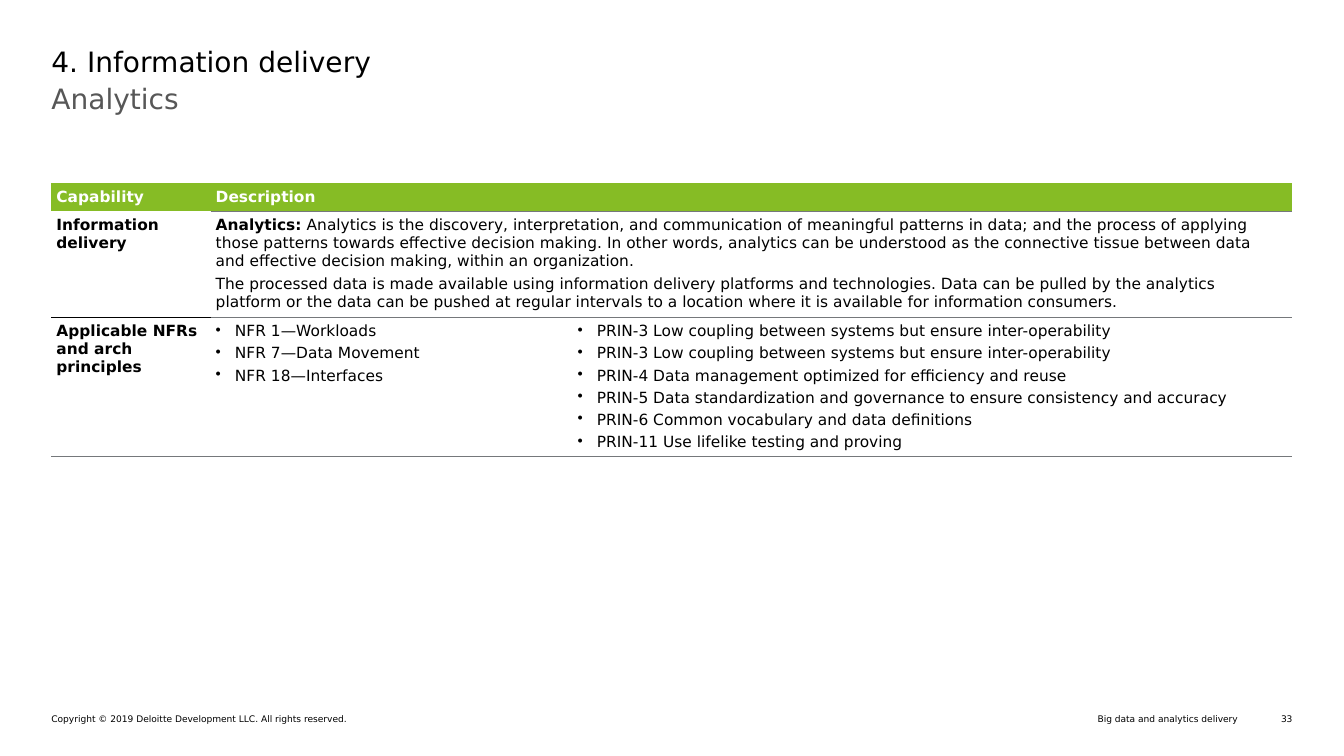
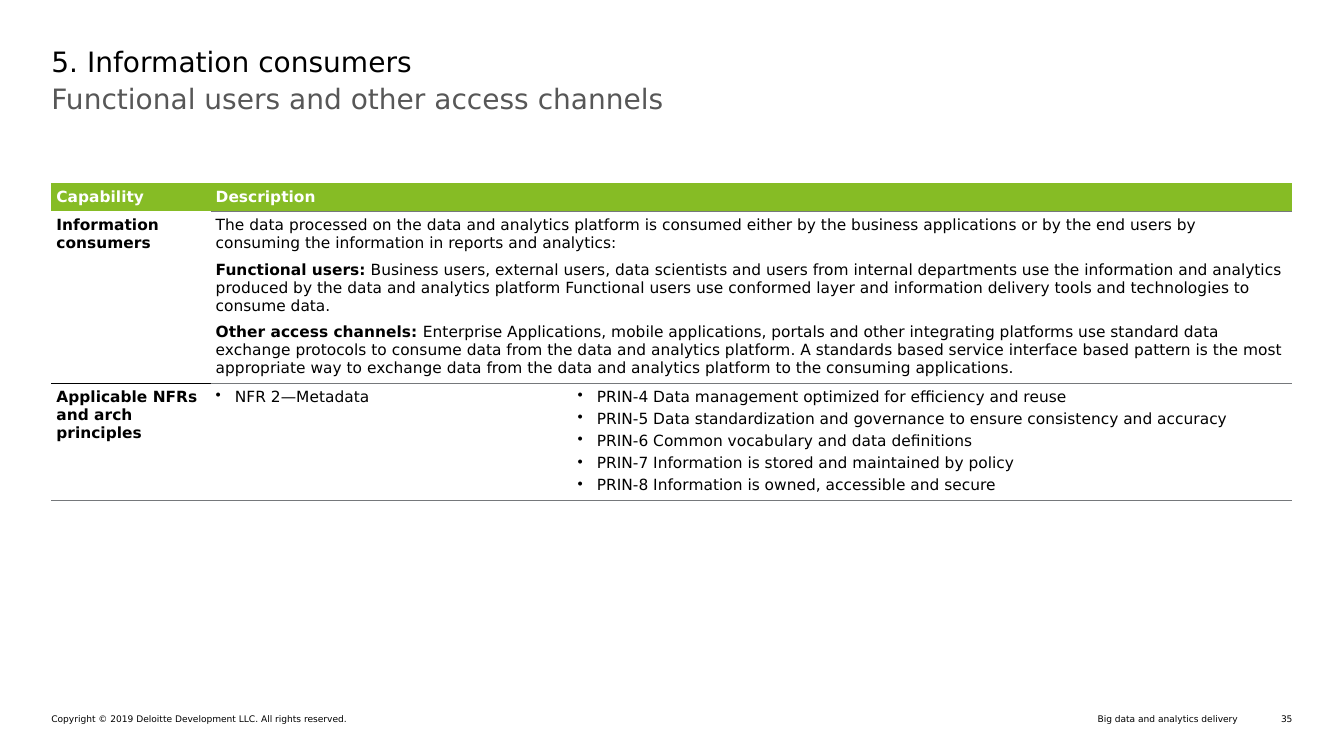
"""Builds two capability slides, each with a title, a subtitle, a table and a footer."""
from lxml import etree
from pptx import Presentation
from pptx.dml.color import RGBColor
from pptx.enum.text import MSO_ANCHOR, MSO_AUTO_SIZE, PP_ALIGN
from pptx.oxml.ns import qn
from pptx.util import Inches, Pt

LEFT, RIGHT, TOP = PP_ALIGN.LEFT, PP_ALIGN.RIGHT, MSO_ANCHOR.TOP
NO_AUTOFIT = MSO_AUTO_SIZE.NONE

BLACK = RGBColor(0x00, 0x00, 0x00)
WHITE = RGBColor(0xFF, 0xFF, 0xFF)
GREEN = RGBColor(0x86, 0xBC, 0x25)
SUBTITLE_GREY = RGBColor(0x57, 0x57, 0x57)
RULE_GREY = RGBColor(0x75, 0x78, 0x7B)

FONT = "DejaVu Sans"
PLAIN_TABLE_STYLE = "{2D5ABB26-0587-4C30-8999-92F81FD0307C}"
HEADINGS = ["Capability", "Description"]
PRINCIPLES_LABEL = "Applicable NFRs and arch principles"
COPYRIGHT = "Copyright © 2019 Deloitte Development LLC. All rights reserved."
DECK_NAME = "Big data and analytics delivery"

SLIDES = [
    {
        "title": "4. Information delivery",
        "subtitle": "Analytics",
        "page": "33",
        "capability": "Information delivery",
        "description": [
            ("Analytics:", " Analytics is the discovery, interpretation, and communication of "
             "meaningful patterns in data; and the process of applying those patterns towards "
             "effective decision making. In other words, analytics can be understood as the "
             "connective tissue between data and effective decision making, within an "
             "organization."),
            ("", "The processed data is made available using information delivery platforms and "
             "technologies. Data can be pulled by the analytics platform or the data can be pushed "
             "at regular intervals to a location where it is available for information consumers."),
        ],
        "gap": 3,
        "nfrs": ["NFR 1—Workloads", "NFR 7—Data Movement", "NFR 18—Interfaces"],
        "principles": [
            "PRIN-3 Low coupling between systems but ensure inter-operability",
            "PRIN-3 Low coupling between systems but ensure inter-operability",
            "PRIN-4 Data management optimized for efficiency and reuse",
            "PRIN-5 Data standardization and governance to ensure consistency and accuracy",
            "PRIN-6 Common vocabulary and data definitions",
            "PRIN-11 Use lifelike testing and proving",
        ],
        "row_heights": [0.27, 1.05, 1.38],
    },
    {
        "title": "5. Information consumers",
        "subtitle": "Functional users and other access channels",
        "page": "35",
        "capability": "Information consumers",
        "description": [
            ("", "The data processed on the data and analytics platform is consumed either by the "
             "business applications or by the end users by consuming the information in reports "
             "and analytics:"),
            ("Functional users:", " Business users, external users, data scientists and users from "
             "internal departments use the information and analytics produced by the data and "
             "analytics platform Functional users use conformed layer and information delivery "
             "tools and technologies to consume data."),
            ("Other access channels: ", "Enterprise Applications, mobile applications, portals and "
             "other integrating platforms use standard data exchange protocols to consume data "
             "from the data and analytics platform. A standards based service interface based "
             "pattern is the most appropriate way to exchange data from the data and analytics "
             "platform to the consuming applications."),
        ],
        "gap": 6,
        "nfrs": ["NFR 2—Metadata"],
        "principles": [
            "PRIN-4 Data management optimized for efficiency and reuse",
            "PRIN-5 Data standardization and governance to ensure consistency and accuracy",
            "PRIN-6 Common vocabulary and data definitions",
            "PRIN-7 Information is stored and maintained by policy",
            "PRIN-8 Information is owned, accessible and secure",
        ],
        "row_heights": [0.27, 1.70, 1.16],
    },
]

MARGIN = 0.51
TITLE_BOX = (MARGIN, 0.44, 12.31, 0.37)
SUBTITLE_BOX = (MARGIN, 0.81, 12.31, 0.83)
COLUMN_WIDTHS = [1.58, 3.59, 7.13]
TABLE_TOP = 1.82
CELL_MARGIN = 0.05
BULLET_INDENT = 0.19
FOOTER_TOP, FOOTER_HEIGHT = 7.08, 0.11

LABEL_RULES = [(WHITE, 0.5), (BLACK, 0.25), (RULE_GREY, 0.5)]
TEXT_RULES = [(RULE_GREY, 0.5)] * 3


def set_all(target, values):
    for name, value in values.items():
        setattr(target, name, value)


def style_font(font, size, color, bold=False):
    set_all(font, {"name": FONT, "size": Pt(size), "bold": bold})
    font.color.rgb = color


def set_margins(target, margin):
    for side in ("left", "top", "right", "bottom"):
        setattr(target, f"margin_{side}", Inches(margin))


def write_line(shape, text, size, color, align=LEFT):
    frame = shape.text_frame
    set_margins(frame, 0)
    set_all(frame, {"word_wrap": True, "auto_size": NO_AUTOFIT, "vertical_anchor": TOP})
    line = frame.paragraphs[0]
    line.text = text
    set_all(line, {"alignment": align, "space_before": Pt(0)})
    style_font(line.runs[0].font, size, color)
    return line


def place(shape, box):
    set_all(shape, dict(zip(("left", "top", "width", "height"), map(Inches, box))))


def add_headings(slide, content):
    title, subtitle = slide.shapes.title, slide.placeholders[1]
    place(title, TITLE_BOX)
    write_line(title, content["title"], 20, BLACK)
    place(subtitle, SUBTITLE_BOX)
    line = write_line(subtitle, content["subtitle"], 20, SUBTITLE_GREY)
    properties = line._p.get_or_add_pPr()
    set_all_xml(properties, {"marL": "0", "indent": "0"})
    etree.SubElement(properties, qn("a:buNone"))


def set_all_xml(element, attributes):
    for name, value in attributes.items():
        element.set(name, value)


def add_footer(slide, page):
    for left, width, text, align in [
        (MARGIN, 5.86, COPYRIGHT, LEFT),
        (6.93, 5.35, DECK_NAME, RIGHT),
        (12.48, 0.34, page, RIGHT),
    ]:
        box = slide.shapes.add_textbox(
            *map(Inches, (left, FOOTER_TOP, width, FOOTER_HEIGHT)))
        write_line(box, text, 6.5, BLACK, align)


def add_rule(cell, edge, rule):
    color, width = rule
    line = etree.SubElement(cell._tc.get_or_add_tcPr(), qn(f"a:{edge}"), w=str(Pt(width)))
    fill = etree.SubElement(line, qn("a:solidFill"))
    etree.SubElement(fill, qn("a:srgbClr"), val=str(color))


def fill_cell(cell, paragraphs, gap, color=BLACK, bullets=False):
    frame = cell.text_frame
    for number, (lead, text) in enumerate(paragraphs):
        paragraph = frame.paragraphs[0] if number == 0 else frame.add_paragraph()
        if bullets:
            properties = paragraph._p.get_or_add_pPr()
            indent = Inches(BULLET_INDENT)
            set_all_xml(properties, {"marL": str(indent), "indent": str(-indent)})
            etree.SubElement(properties, qn("a:buChar"), char="•")
        paragraph.space_after = Pt(gap)
        for part, bold in ((lead, True), (text, False)):
            if part:
                run = paragraph.add_run()
                run.text = part
                style_font(run.font, 11, color, bold)


def add_capability_table(slide, content):
    heights = content["row_heights"]
    table = slide.shapes.add_table(
        len(heights), len(COLUMN_WIDTHS), Inches(MARGIN), Inches(TABLE_TOP),
        Inches(sum(COLUMN_WIDTHS)), Inches(sum(heights))).table
    table._tbl.tblPr.find(qn("a:tableStyleId")).text = PLAIN_TABLE_STYLE
    table.horz_banding = False
    for column, width in zip(table.columns, COLUMN_WIDTHS):
        column.width = Inches(width)
    for row, height in zip(table.rows, heights):
        row.height = Inches(height)

    for r in range(len(heights)):
        for c in range(len(COLUMN_WIDTHS)):
            cell = table.cell(r, c)
            rules = LABEL_RULES if c == 0 else TEXT_RULES
            set_margins(cell, CELL_MARGIN)
            if r > 0:
                add_rule(cell, "lnT", rules[r - 1])
            add_rule(cell, "lnB", rules[r])
            cell.fill.solid()
            cell.fill.fore_color.rgb = GREEN if r == 0 else WHITE
    for r in (0, 1):
        table.cell(r, 1).merge(table.cell(r, 2))

    gap = content["gap"]
    for c, heading in enumerate(HEADINGS):
        fill_cell(table.cell(0, c), [(heading, "")], 3, WHITE)
    for r, label in enumerate((content["capability"], PRINCIPLES_LABEL), start=1):
        fill_cell(table.cell(r, 0), [(label, "")], gap)
    fill_cell(table.cell(1, 1), content["description"], gap)
    for c, key in enumerate(("nfrs", "principles"), start=1):
        items = [("", item) for item in content[key]]
        fill_cell(table.cell(2, c), items, 3, bullets=True)


def main():
    deck = Presentation()
    set_all(deck, {"slide_width": Inches(13.33), "slide_height": Inches(7.5)})
    for content in SLIDES:
        slide = deck.slides.add_slide(deck.slide_layouts[1])
        add_headings(slide, content)
        add_capability_table(slide, content)
        add_footer(slide, content["page"])
    deck.save("out.pptx")


if __name__ == "__main__":
    main()
